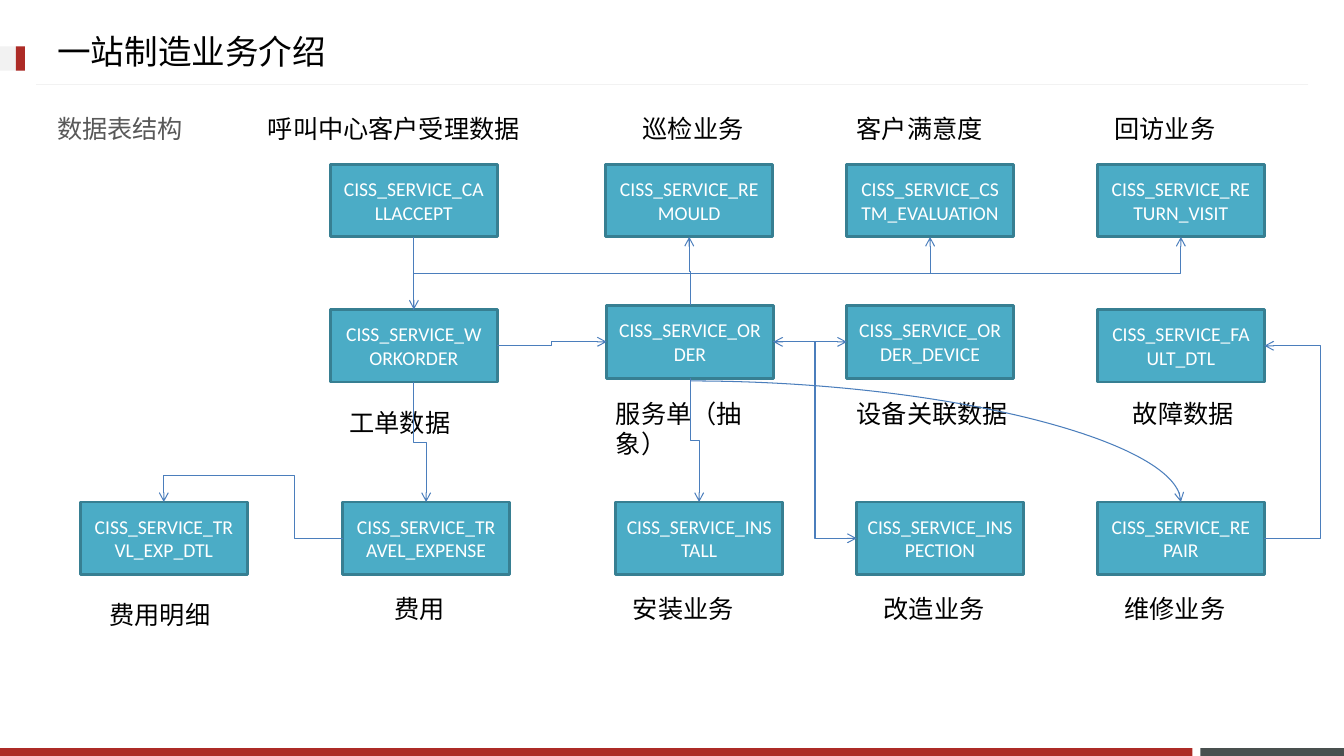
from dataclasses import dataclass

from lxml.etree import SubElement
from pptx import Presentation
from pptx.dml.color import RGBColor
from pptx.enum.shapes import MSO_CONNECTOR as Link, MSO_SHAPE as Shape
from pptx.enum.text import MSO_ANCHOR as Anchor, MSO_AUTO_SIZE as AutoSize, PP_ALIGN as Align
from pptx.oxml.ns import qn
from pptx.util import Cm, Pt

RED = RGBColor(0xAD, 0x2B, 0x26)
SLATE = RGBColor(0x49, 0x50, 0x4F)
PALE = RGBColor(0xF2, 0xF2, 0xF2)
TEAL = RGBColor(0x4B, 0xAC, 0xC6)
DARK_TEAL = RGBColor(0x37, 0x7F, 0x92)
BLUE = RGBColor(0x4B, 0x7E, 0xBC)
GRAY = RGBColor(0x59, 0x59, 0x59)
BLACK = RGBColor(0, 0, 0)
WHITE = RGBColor(0xFF, 0xFF, 0xFF)

LATIN, CJK, CJK_TITLE = "Calibri", "Noto Sans CJK SC", "Noto Sans CJK JP"
BOX_W, BOX_H, CAPTION_H = 4.2, 1.83, 1.02
TOP_ROW, MIDDLE_ROW, ORDER_ROW, BOTTOM_ROW = 4.14, 7.8, 7.7, 12.65
TOP, LEFT, BOTTOM, RIGHT = range(4)
MIN_SPAN = Cm(0.01)


@dataclass
class Table:
    """A data table box with its caption; lengths in cm."""
    name: str
    left: float
    top: float
    caption: str
    caption_left: float
    caption_top: float
    caption_width: float


@dataclass
class Flow:
    """An arrow between two tables; bends are fractions of its span."""
    source: str
    source_side: int
    target: str
    target_side: int
    preset: str = "bentConnector3"
    bends: tuple = (0.5,)
    two_way: bool = False


TABLES = [
    Table("CALLACCEPT", 8.33, TOP_ROW, "呼叫中心客户受理数据", 6.5, 2.72, 7.24),
    Table("WORKORDER", 8.33, MIDDLE_ROW, "工单数据", 8.56, 10.13, 3.15),
    Table("ORDER", 15.29, ORDER_ROW, "服务单（抽象）", 15.27, 9.91, 4.7),
    Table("ORDER_DEVICE", 21.34, ORDER_ROW, "设备关联数据", 21.34, 9.91, 4.7),
    Table("INSTALL", 15.52, BOTTOM_ROW, "安装业务", 15.7, 14.83, 3.33),
    Table("INSPECTION", 21.59, BOTTOM_ROW, "改造业务", 22.02, 14.83, 3.33),
    Table("REPAIR", 27.66, BOTTOM_ROW, "维修业务", 28.09, 14.83, 3.33),
    Table("REMOULD", 15.27, TOP_ROW, "巡检业务", 15.95, 2.72, 3.33),
    Table("RETURN_VISIT", 27.66, TOP_ROW, "回访业务", 27.84, 2.72, 3.33),
    Table("TRAVEL_EXPENSE", 8.64, BOTTOM_ROW, "费用", 9.7, 14.83, 2.01),
    Table("TRVL_EXP_DTL", 2.03, BOTTOM_ROW, "费用明细", 2.51, 14.99, 3.25),
    Table("FAULT_DTL", 27.66, MIDDLE_ROW, "故障数据", 28.3, 9.91, 3.81),
    Table("CSTM_EVALUATION", 21.34, TOP_ROW, "客户满意度", 21.34, 2.72, 3.76),
]

STRAIGHT = "line"
FLOWS = [
    Flow("CALLACCEPT", BOTTOM, "WORKORDER", TOP, STRAIGHT, ()),
    Flow("WORKORDER", RIGHT, "ORDER", LEFT),
    Flow("ORDER", BOTTOM, "INSTALL", TOP),
    Flow("ORDER", TOP, "REMOULD", BOTTOM),
    Flow("ORDER", RIGHT, "ORDER_DEVICE", LEFT, STRAIGHT, ()),
    Flow("ORDER", RIGHT, "INSPECTION", LEFT, two_way=True),
    Flow("WORKORDER", BOTTOM, "TRAVEL_EXPENSE", TOP),
    Flow("TRAVEL_EXPENSE", LEFT, "TRVL_EXP_DTL", TOP, "bentConnector4", (0.27, 1.72)),
    Flow("WORKORDER", TOP, "RETURN_VISIT", BOTTOM),
    Flow("WORKORDER", TOP, "CSTM_EVALUATION", BOTTOM),
    Flow("REPAIR", RIGHT, "FAULT_DTL", RIGHT, bends=(Cm(1.42) / MIN_SPAN,)),
]


def format_text(frame, text: str, size: int, color: RGBColor, latin=LATIN, cjk=CJK, align=Align.LEFT):
    frame.text = text
    frame.word_wrap = True
    paragraph = frame.paragraphs[0]
    paragraph.alignment = align
    font = paragraph.runs[0].font
    font.size, font.name, font.color.rgb = Pt(size), latin, color
    SubElement(paragraph.runs[0].font._element, qn("a:ea"), typeface=cjk)


def add_bar(shapes, left: float, top: float, width: float, height: float, color: RGBColor):
    bar = shapes.add_shape(Shape.RECTANGLE, Cm(left), Cm(top), Cm(width), Cm(height))
    bar.shadow.inherit = False
    bar.fill.solid()
    bar.fill.fore_color.rgb = color
    bar.line.fill.background()
    return bar


def add_caption(shapes, text: str, left: float, top: float, width: float, color=BLACK, latin=LATIN):
    caption = shapes.add_textbox(Cm(left), Cm(top), Cm(width), Cm(CAPTION_H))
    format_text(caption.text_frame, text, 18, color, latin)


def add_table_box(shapes, table: Table):
    box = add_bar(shapes, table.left, table.top, BOX_W, BOX_H, TEAL)
    box.line.color.rgb = DARK_TEAL
    box.line.width = Pt(2)
    box.text_frame.vertical_anchor = Anchor.MIDDLE
    format_text(box.text_frame, "CISS_SERVICE_" + table.name, 14, WHITE, align=Align.CENTER)
    add_caption(shapes, table.caption, table.caption_left, table.caption_top, table.caption_width)
    return box


def style_line(line, color: RGBColor, arrows=()):
    line.line.color.rgb = color
    line.line.width = Pt(0.75)
    properties = line.element.spPr
    for end in arrows:
        SubElement(properties.find(qn("a:ln")), qn(end), type="arrow")
    SubElement(properties, qn("a:effectLst"))


def set_route(line, preset: str, bends: tuple):
    geometry = line.element.spPr.find(qn("a:prstGeom"))
    geometry.set("prst", preset)
    guides = geometry.find(qn("a:avLst"))
    for number, bend in enumerate(bends, 1):
        SubElement(guides, qn("a:gd"), name=f"adj{number}", fmla=f"val {round(bend * 100000)}")


def side_point(box, side: int) -> tuple[int, int]:
    across = {LEFT: 0, RIGHT: 2}.get(side, 1)
    down = {TOP: 0, BOTTOM: 2}.get(side, 1)
    return box.left + box.width * across // 2, box.top + box.height * down // 2


def add_flow(shapes, boxes: dict, flow: Flow):
    source, target = boxes[flow.source], boxes[flow.target]
    x1, y1 = side_point(source, flow.source_side)
    x2, y2 = side_point(target, flow.target_side)
    kind = Link.STRAIGHT if flow.preset == STRAIGHT else Link.ELBOW
    line = shapes.add_connector(kind, x1, y1, x2, y2)
    line.begin_connect(source, flow.source_side)
    line.end_connect(target, flow.target_side)
    style_line(line, BLUE, ("a:headEnd", "a:tailEnd") if flow.two_way else ("a:tailEnd",))
    if kind == Link.STRAIGHT:
        return
    set_route(line, flow.preset, flow.bends)

    # A route leaving from the top or bottom is a turned sideways route
    run, rise, turn = x2 - x1, y2 - y1, 0
    if flow.source_side in (TOP, BOTTOM):
        turn = 90 if rise > 0 else 270
        run, rise = abs(rise), (-run if turn == 90 else run)
    line.width, line.height = max(abs(run), MIN_SPAN), abs(rise)
    line.left = (x1 + x2 - line.width) // 2
    line.top = (y1 + y2 - line.height) // 2
    frame = line.element.spPr.find(qn("a:xfrm"))
    frame.set("rot", str(turn * 60000))
    frame.set("flipH", str(int(run < 0)))
    frame.set("flipV", str(int(rise < 0)))


def main():
    deck = Presentation()
    deck.slide_width, deck.slide_height = Cm(33.87), Cm(19.05)
    slide = deck.slides.add_slide(deck.slide_layouts[5])
    shapes = slide.shapes

    # Page frame
    add_bar(shapes, 30.25, 18.85, 3.62, 0.2, SLATE)
    add_bar(shapes, 0, 18.85, 30.05, 0.2, RED)
    add_bar(shapes, 0, 1.17, 0.63, 0.61, PALE)
    add_bar(shapes, 0.4, 1.17, 0.23, 0.61, RED)
    rule = shapes.add_connector(Link.STRAIGHT, Cm(32.97), Cm(2.13), Cm(0.9), Cm(2.13))
    style_line(rule, PALE)

    # Headings
    title = shapes.title
    title.left, title.top, title.width, title.height = Cm(1.19), Cm(0.66), Cm(11.02), Cm(1.65)
    format_text(title.text_frame, "一站制造业务介绍", 24, BLACK, CJK_TITLE, CJK_TITLE)
    title.text_frame.auto_size = AutoSize.NONE
    title.text_frame.vertical_anchor = Anchor.TOP
    add_caption(shapes, "数据表结构", 1.19, 2.72, 5.05, GRAY, CJK)

    # Data tables and the flows between them
    boxes = {table.name: add_table_box(shapes, table) for table in TABLES}
    for flow in FLOWS:
        add_flow(shapes, boxes, flow)

    # Curve from the service order to the repair table
    repair_x, repair_y = side_point(boxes["REPAIR"], TOP)
    order_x, _ = side_point(boxes["ORDER"], BOTTOM)
    curve = shapes.add_connector(Link.CURVE, order_x, Cm(9.6), repair_x, repair_y)
    curve.end_connect(boxes["REPAIR"], TOP)
    set_route(curve, "curvedConnector2", ())
    style_line(curve, BLUE, ("a:tailEnd",))

    deck.save("out.pptx")


if __name__ == "__main__":
    main()
